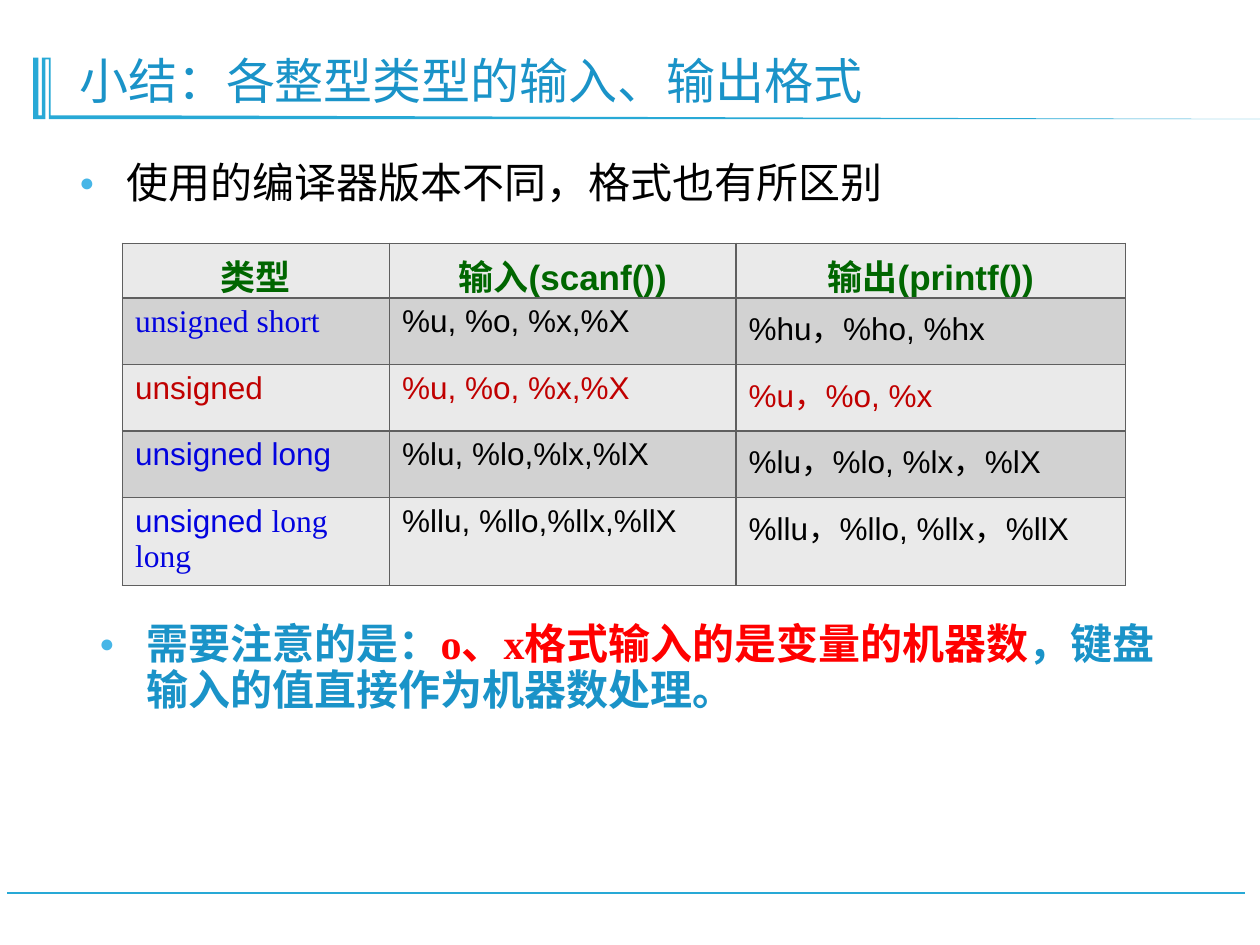
from dataclasses import dataclass

from lxml.etree import SubElement as Sub
from pptx import Presentation as Deck
from pptx.dml.color import RGBColor as Rgb
from pptx.enum.shapes import MSO_CONNECTOR as Link
from pptx.enum.text import MSO_ANCHOR as Anchor, PP_ALIGN as Align
from pptx.oxml.ns import qn
from pptx.util import Pt


@dataclass(frozen=True)
class Theme:
    rule: str = "28A9D6"
    head: str = "1A93C8"
    dot: str = "47B6E7"
    ink: str = "000000"
    green: str = "006600"
    blue: str = "0303DF"
    dark: str = "C00000"
    red: str = "FF0000"
    edge: str = "5F5F5F"
    bands: tuple = ("EAEAEA", "D2D2D2")
    serif: str = "Times New Roman"
    sans: str = "Arial"
    title: int = 28
    body: int = 24
    top: int = 20
    cell: int = 18


def write(frame, *parts, size, font, color, bold=False, align=None, lead=None, before=None):
    para = frame.paragraphs[0]
    para.alignment = align
    para.line_spacing = lead
    if before is not None:
        para.space_before = Pt(before)
    for part in parts:
        text, own = part if isinstance(part, tuple) else (part, {})
        run = para.add_run()
        run.text = text
        run.font.size = Pt(size)
        run.font.bold = bold
        run.font.name = own.get("font", font)
        run.font.color.rgb = Rgb.from_string(own.get("color", color))
    return para


class Page:
    def __init__(self, slide, theme):
        self.slide = slide
        self.theme = theme

    def line(self, *ends):
        rule = self.slide.shapes.add_connector(Link.STRAIGHT, *map(Pt, ends))
        rule.line.color.rgb = Rgb.from_string(self.theme.rule)
        rule.line.width = Pt(1.25)
        Sub(rule._element.spPr, qn("a:effectLst"))

    def outline(self, start, *points):
        pen = self.slide.shapes.build_freeform(*start, scale=Pt(1))
        pen.add_line_segments(points, close=True)
        shape = pen.convert_to_shape()
        shape.shadow.inherit = False
        shape.fill.solid()
        shape.fill.fore_color.rgb = Rgb.from_string(self.theme.rule)
        shape.line.fill.background()

    def text(self, box, *parts, anchor=Anchor.TOP, **form):
        frame = self.slide.shapes.add_textbox(*map(Pt, box)).text_frame
        frame.word_wrap = True
        frame.vertical_anchor = anchor
        return write(frame, *parts, font=self.theme.serif, lead=0.9, **form)

    def bullet(self, box, *parts, **form):
        para = self.text(box, *parts, size=self.theme.body, before=13.5, **form)
        props = para._p.get_or_add_pPr()
        props.set("marL", str(Pt(27)))
        props.set("indent", str(Pt(-27)))
        Sub(Sub(props, qn("a:buClr")), qn("a:srgbClr"), val=self.theme.dot)
        Sub(props, qn("a:buSzPct"), val="60000")
        Sub(props, qn("a:buFont"), typeface=self.theme.sans)
        Sub(props, qn("a:buChar"), char="●")

    def cell(self, cell, band, *parts, **form):
        props = cell._tc.get_or_add_tcPr()
        for side in ("lnL", "lnR", "lnT", "lnB"):
            edge = Sub(props, qn(f"a:{side}"), w=str(Pt(1)))
            Sub(Sub(edge, qn("a:solidFill")), qn("a:srgbClr"), val=self.theme.edge)
        cell.fill.solid()
        cell.fill.fore_color.rgb = Rgb.from_string(band)
        write(cell.text_frame, *parts, font=self.theme.sans, **form)

    def table(self, left, top, widths, heights, heads, rows):
        theme = self.theme
        grid = self.slide.shapes.add_table(
            len(heights), len(widths), Pt(left), Pt(top), Pt(sum(widths)), Pt(sum(heights))
        ).table
        for col, width in zip(grid.columns, widths):
            col.width = Pt(width)
        for row, height in zip(grid.rows, heights):
            row.height = Pt(height)
        for c, head in enumerate(heads):
            self.cell(grid.cell(0, c), theme.bands[0], head, size=theme.top,
                      color=theme.green, bold=True, align=Align.CENTER)
        for r, (kind, scan, out, tint, ink) in enumerate(rows, 1):
            for c, parts in enumerate((kind, [scan], [out])):
                self.cell(grid.cell(r, c), theme.bands[r % 2], *parts,
                          size=theme.cell, color=ink if c else tint)


def main():
    deck = Deck()
    deck.slide_width, deck.slide_height = Pt(720), Pt(540)
    theme = Theme()
    page = Page(deck.slides.add_slide(deck.slide_layouts[6]), theme)

    page.line(711.4, 510.3, 4.3, 510.3)
    page.outline(
        (29.2, 33.2), (29.2, 66.3), (100.8, 66.3), (726.5, 67.5), (28, 67.5),
        (28, 34.4), (25.7, 34.4), (25.7, 67.5), (19.4, 67.5), (19.4, 33.2),
        (21.5, 33.2), (21.5, 65.5), (23.8, 65.5), (23.8, 33.2),
    )
    page.text((38.2, 20.2, 637.2, 46), "小结：各整型类型的输入、输出格式",
              anchor=Anchor.BOTTOM, size=theme.title, color=theme.head)
    page.bullet((38.2, 89.3, 637.2, 41), "使用的编译器版本不同，格式也有所区别", color=theme.ink)

    serif = {"font": theme.serif}
    blue, dark, ink = theme.blue, theme.dark, theme.ink
    page.table(
        70, 139, (152.6, 198, 222.6), (31, 38, 38, 38, 38),
        ("类型", "输入(scanf())", "输出(printf())"),
        (
            ([("unsigned short", serif)], "%u, %o, %x,%X", "%hu，%ho, %hx", blue, ink),
            (["unsigned"], "%u, %o, %x,%X", "%u，%o, %x", dark, dark),
            (["unsigned long"], "%lu, %lo,%lx,%lX", "%lu，%lo, %lx，%lX", blue, ink),
            (["unsigned ", ("long long", serif)], "%llu, %llo,%llx,%llX",
             "%llu，%llo, %llx，%llX", blue, ink),
        ),
    )
    page.bullet(
        (49.7, 352.8, 637.2, 72.7), "需要注意的是：",
        ("o、x格式输入的是变量的机器数", {"color": theme.red}),
        "，键盘输入的值直接作为机器数处理。", color=theme.head, bold=True,
    )
    deck.save("out.pptx")


if __name__ == "__main__":
    main()
